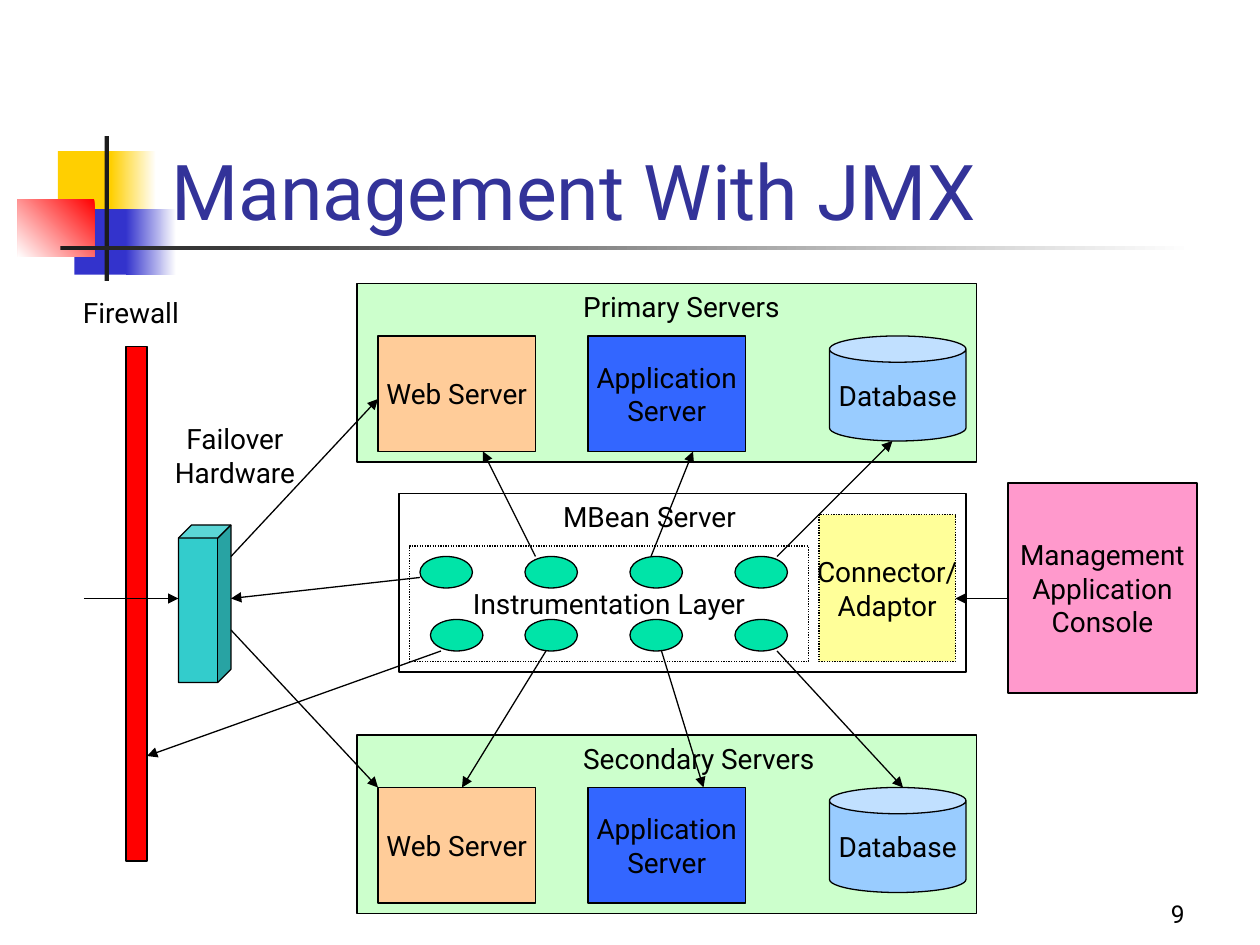
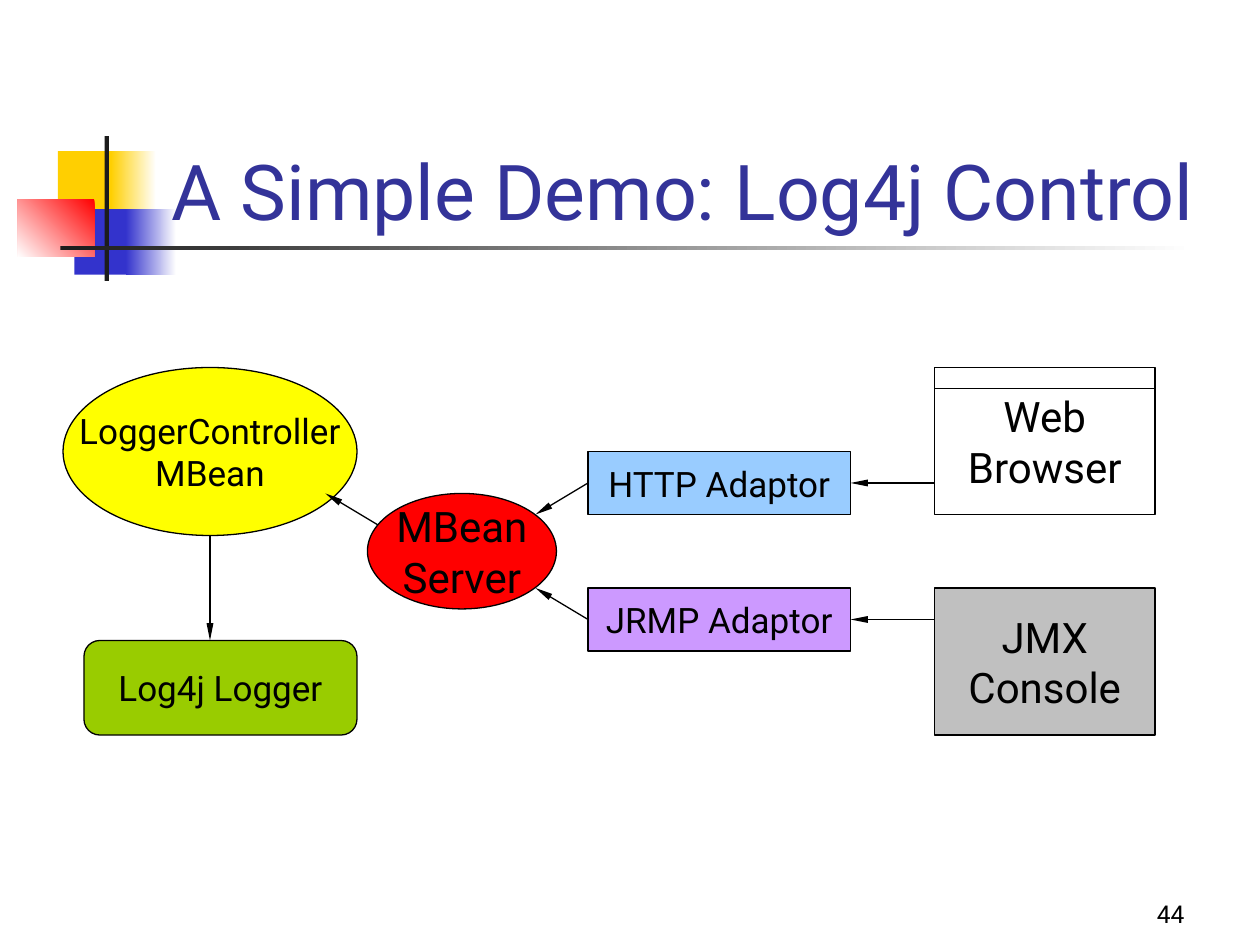
import lxml.etree
import pptx
import pptx.dml.color
import pptx.enum.dml
import pptx.enum.shapes
import pptx.enum.text
import pptx.oxml.ns
import pptx.util

Pt = pptx.util.Pt
SHAPES = pptx.enum.shapes.MSO_SHAPE
ALIGN = pptx.enum.text.PP_ALIGN
ANCHOR = pptx.enum.text.MSO_ANCHOR

BLACK = "000000"
WHITE = "FFFFFF"
NAVY = "333399"
GOLD = "FFCF01"
INDIGO = "3333CC"
RED = "FF0000"
CHARCOAL = "1C1C1C"
SKY = "99CCFF"

LOGO_BLOCKS = [
    ((33.12, 86.4, 34.56, 37.44), GOLD, None),
    ((63.36, 86.4, 25.92, 37.44), GOLD, 0),
    ((42.48, 119.52, 33.12, 37.44), INDIGO, None),
    ((72, 119.52, 28.8, 37.44), INDIGO, 0),
    ((10.08, 113.76, 43.92, 33.12), RED, 225),
    ((59.76, 77.76, 2.5, 82.8), CHARCOAL, None),
    ((34.56, 140.4, 648, 2.5), CHARCOAL, 0),
]


def color(value):
    return pptx.dml.color.RGBColor.from_string(value)


class Drawing:
    font = "Roboto"
    line_width = 0.75

    def __init__(self, deck):
        self.deck = deck
        self.slide = None
        self.size = 16
        self.head = ("med", "med")

    def start_page(self, title, number, size, head):
        self.slide = self.deck.slides.add_slide(self.deck.slide_layouts[5])
        self.size = size
        self.head = head
        for frame, fill, angle in LOGO_BLOCKS:
            self.block(frame, fill, angle)
        self.title(title)
        self.label((534, 498, 150, 36), number, ALIGN.RIGHT, ANCHOR.BOTTOM, 14)

    def place(self, shape, frame):
        shape.left, shape.top, shape.width, shape.height = map(Pt, frame)

    def set_text(self, shape, text, align, anchor, size, fill=BLACK, wrap=False):
        text_frame = shape.text_frame
        text_frame.text = text
        text_frame.auto_size = pptx.enum.text.MSO_AUTO_SIZE.NONE
        text_frame.word_wrap = wrap
        text_frame.vertical_anchor = anchor
        for para in text_frame.paragraphs:
            para.alignment = align
            for span in para.runs:
                span.font.name = self.font
                span.font.size = Pt(size)
                span.font.color.rgb = color(fill)

    def title(self, text):
        title = self.slide.shapes.title
        self.place(title, (90.72, 48.24, 613.44, 90))
        self.set_text(title, text, ALIGN.LEFT, ANCHOR.BOTTOM, 44, NAVY, True)
        self.slide.shapes._spTree.append(title._element)

    def label(self, frame, text, align=ALIGN.LEFT, anchor=ANCHOR.TOP, size=None):
        box = self.slide.shapes.add_textbox(*map(Pt, frame))
        self.set_text(box, text, align, anchor, size or self.size)

    def block(self, frame, fill, angle=None):
        block = self.slide.shapes.add_shape(SHAPES.RECTANGLE, *map(Pt, frame))
        block.shadow.inherit = False
        block.line.fill.background()
        if angle is None:
            block.fill.solid()
            block.fill.fore_color.rgb = color(fill)
        else:
            block.fill.gradient()
            block.fill.gradient_angle = angle
            for stop, shade in zip(block.fill.gradient_stops, (fill, WHITE)):
                stop.color.rgb = color(shade)

    def shape(self, kind, frame, fill=None, text="", size=None, dotted=False):
        shape = self.slide.shapes.add_shape(kind, *map(Pt, frame))
        shape.shadow.inherit = False
        if fill:
            shape.fill.solid()
            shape.fill.fore_color.rgb = color(fill)
        else:
            shape.fill.background()
        shape.line.color.rgb = color(BLACK)
        shape.line.width = Pt(self.line_width)
        if dotted:
            shape.line.dash_style = pptx.enum.dml.MSO_LINE.ROUND_DOT
        if text:
            self.set_text(shape, text, ALIGN.CENTER, ANCHOR.MIDDLE, size or self.size)
        return shape

    def line(self, start, end):
        line = self.slide.shapes.add_connector(
            pptx.enum.shapes.MSO_CONNECTOR.STRAIGHT, *map(Pt, start + end))
        line.line.color.rgb = color(BLACK)
        line.line.width = Pt(self.line_width)
        properties = line._element.spPr
        lxml.etree.SubElement(properties, pptx.oxml.ns.qn("a:effectLst"))
        return line

    def arrow(self, start, end):
        arrow = self.line(start, end)
        outline = arrow._element.spPr.find(pptx.oxml.ns.qn("a:ln"))
        width, length = self.head
        lxml.etree.SubElement(outline, pptx.oxml.ns.qn("a:tailEnd"),
                              type="triangle", w=width, len=length)
        return arrow


def draw_server_group(drawing, name, top, label_width):
    drawing.shape(SHAPES.RECTANGLE, (204, top, 354, 102), "CCFFCC")
    row = top + 30
    drawing.shape(SHAPES.RECTANGLE, (216, row, 90, 66), "FFCC99", "Web Server")
    drawing.shape(SHAPES.RECTANGLE, (336, row, 90, 66), "3366FF", "Application\nServer")
    drawing.shape(SHAPES.CAN, (474, row, 78, 60), SKY, "Database")
    drawing.label((326.16, top, label_width, 26.64), name)


def draw_management(drawing):
    drawing.start_page("Management With JMX", "9", 16, ("med", "med"))
    drawing.label((40.32, 165.6, 72, 26.64), "Firewall")
    drawing.label((90, 237.6, 88.56, 46.08), "Failover\nHardware", ALIGN.CENTER)
    drawing.shape(SHAPES.RECTANGLE, (72, 198, 12, 294), RED)
    drawing.shape(SHAPES.CUBE, (102, 300, 30, 90), "33CCCC")
    draw_server_group(drawing, "Primary Servers", 162, 133.2)
    draw_server_group(drawing, "Secondary Servers", 420, 152.64)

    traffic = [
        ((48, 342), (102, 342)),
        ((132, 318), (216, 228)),
        ((132, 360), (216, 450)),
    ]
    monitoring = [
        ((240, 330), (132, 342)),
        ((306, 318), (276, 258)),
        ((372, 318), (396, 258)),
        ((444, 318), (510, 252)),
        ((312, 372), (264, 450)),
        ((378, 372), (402, 450)),
        ((444, 372), (516, 450)),
        ((252, 372), (84, 432)),
    ]
    for start, end in traffic + monitoring:
        drawing.arrow(start, end)

    drawing.shape(SHAPES.RECTANGLE, (228, 282, 324, 102))
    drawing.label((314.64, 282, 118.8, 26.64), "MBean Server")
    drawing.shape(SHAPES.RECTANGLE, (234, 312, 228, 66), None,
                  "Instrumentation Layer", dotted=True)
    for top, first_left in ((318, 240), (354, 246)):
        for left in (first_left, 300, 360, 420):
            drawing.shape(SHAPES.OVAL, (left, top, 30, 18), "00E4A8")

    drawing.shape(SHAPES.RECTANGLE, (576, 276, 108, 120), "FF99CC",
                  "Management\nApplication\nConsole")
    drawing.shape(SHAPES.RECTANGLE, (468, 294, 78, 84), "FFFF99",
                  "Connector/\nAdaptor", dotted=True)
    drawing.arrow((576, 342), (546, 342))


def draw_demo(drawing):
    drawing.start_page("A Simple Demo: Log4j Control", "44", 20, ("sm", "lg"))
    drawing.shape(SHAPES.ROUNDED_RECTANGLE, (48, 366, 156, 54), "99CC00", "Log4j Logger")
    drawing.shape(SHAPES.OVAL, (36, 210, 168, 96), "FFFF00", "LoggerController\nMBean")
    drawing.shape(SHAPES.OVAL, (210, 282, 108, 66), RED, "MBean\nServer", 24)
    drawing.shape(SHAPES.RECTANGLE, (534, 210, 126, 84), None, "Web\nBrowser", 24)
    drawing.shape(SHAPES.RECTANGLE, (534, 336, 126, 84), "C0C0C0", "JMX\nConsole", 24)
    drawing.line((534, 222), (660, 222))
    drawing.arrow((216, 300), (186, 282))
    drawing.arrow((120, 306), (120, 366))

    adaptors = [
        ("HTTP Adaptor", 258, SKY, 294),
        ("JRMP Adaptor", 336, "CC99FF", 336),
    ]
    for name, top, fill, server_y in adaptors:
        adaptor = drawing.shape(SHAPES.RECTANGLE, (336, top, 150, 36), fill, name)
        middle = top + 18
        drawing.arrow((336, middle), (306, server_y)).begin_connect(adaptor, 1)
        drawing.arrow((534, middle), (486, middle)).end_connect(adaptor, 3)


def main():
    deck = pptx.Presentation()
    deck.slide_width = Pt(720)
    deck.slide_height = Pt(540)
    drawing = Drawing(deck)
    draw_management(drawing)
    draw_demo(drawing)
    deck.save("out.pptx")


if __name__ == "__main__":
    main()
